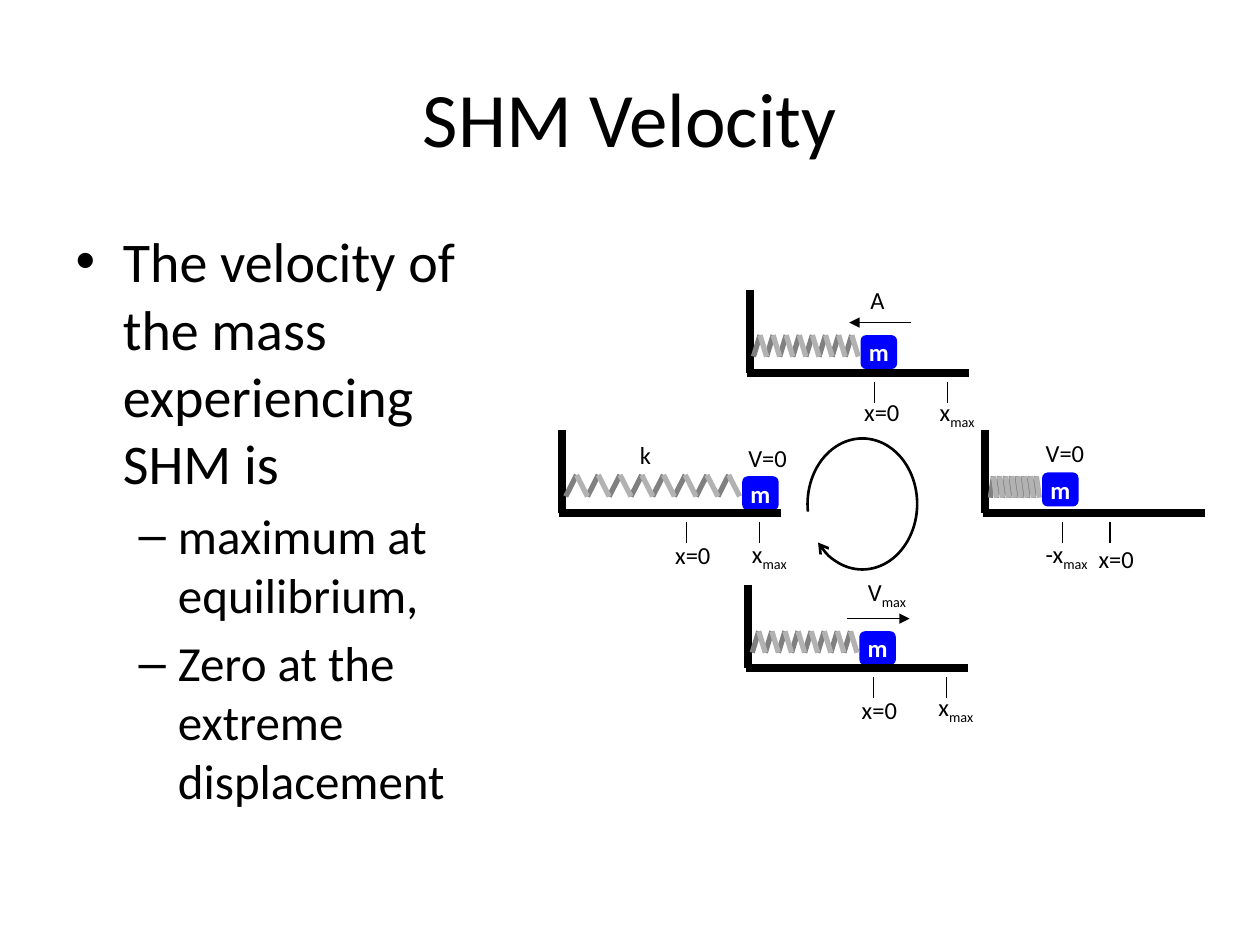
import dataclasses

import pptx
import pptx.dml.color
import pptx.enum.shapes
import pptx.enum.text
import pptx.oxml.ns
import pptx.util
from lxml import etree

RGB = pptx.dml.color.RGBColor
BLACK = RGB(0x00, 0x00, 0x00)
WHITE = RGB(0xFF, 0xFF, 0xFF)
MASS_BLUE = RGB(0x00, 0x00, 0xFF)
COIL_BACK = RGB(0x80, 0x80, 0x80)
COIL_FRONT = RGB(0xB2, 0xB2, 0xB2)

FONT = "Calibri"
SLIDE_WIDTH = pptx.util.Inches(10)
SLIDE_HEIGHT = pptx.util.Inches(7.5)
COLUMNS, ROWS = 1000, 750
COILS = 8
LABEL_HEIGHT = 33
LABEL_WIDTHS = {"A": 33, "k": 30, "V=0": 55, "x=0": 52, "V": 57, "x": 54, "-x": 60}


@dataclasses.dataclass
class Oscillator:
    corner: tuple
    mass: tuple
    coil_start: int
    coil_pitch: float
    coil_top: int
    ticks: tuple
    labels: tuple
    motion: tuple = ()


OSCILLATORS = (
    Oscillator((446, 341), (143, 37), 3, 17.25, 36, (99, 157),
               (("V=0", "", 138, 6), ("x=0", "", 80, 83),
                ("x", "max", 141, 82), ("k", "", 52, 3))),
    Oscillator((595, 230), (88, 36), 3, 10.4, 36, (99, 157),
               (("A", "", 86, -9), ("x=0", "", 81, 80), ("x", "max", 141, 80)),
               (128, 79, 26)),
    Oscillator((782, 341), (45, 34), 4, 4.87, 37, (99, 61),
               (("x=0", "", 80, 86), ("-x", "max", 38, 82), ("V=0", "", 38, 2))),
    Oscillator((594, 464), (88, 37), 3, 10.4, 37, (99, 157),
               (("V", "max", 85, -11), ("x=0", "", 80, 83), ("x", "max", 141, 80)),
               (78, 128, 27)),
)


def col(count):
    return round(SLIDE_WIDTH * count / COLUMNS)


def row(count):
    return round(SLIDE_HEIGHT * count / ROWS)


def box(left, top, width, height):
    return col(left), row(top), col(width), row(height)


def place(placeholder, left, top, width, height):
    placeholder.left, placeholder.top, placeholder.width, placeholder.height = box(
        left, top, width, height)


def add_run(paragraph, text, size, color=BLACK, bold=None):
    run = paragraph.add_run()
    run.text = text
    run.font.name = FONT
    run.font.size = pptx.util.Pt(size)
    run.font.color.rgb = color
    run.font.bold = bold
    return run


def add_arrowhead(stroke, kind):
    outline = stroke._element.spPr.get_or_add_ln()
    etree.SubElement(outline, pptx.oxml.ns.qn("a:tailEnd"), type=kind)


def add_line(shapes, start, end, width, color=BLACK, arrow=None):
    segment = shapes.add_connector(
        pptx.enum.shapes.MSO_CONNECTOR.STRAIGHT,
        col(start[0]), row(start[1]), col(end[0]), row(end[1]))
    segment.line.color.rgb = color
    segment.line.width = pptx.util.Pt(width)
    if arrow:
        add_arrowhead(segment, arrow)
    etree.SubElement(segment._element.spPr, pptx.oxml.ns.qn("a:effectLst"))


def add_label(shapes, left, top, symbol, subscript):
    label = shapes.add_textbox(*box(left, top, LABEL_WIDTHS[symbol], LABEL_HEIGHT))
    frame = label.text_frame
    frame.word_wrap = False
    frame.auto_size = pptx.enum.text.MSO_AUTO_SIZE.SHAPE_TO_FIT_TEXT
    add_run(frame.paragraphs[0], symbol, 14)
    if subscript:
        lowered = add_run(frame.paragraphs[0], subscript, 14)
        lowered._r.get_or_add_rPr().set("baseline", "-25000")


def add_mass(shapes, left, top):
    mass = shapes.add_shape(
        pptx.enum.shapes.MSO_SHAPE.ROUNDED_RECTANGLE, *box(left, top, 29, 27))
    mass.shadow.inherit = False
    mass.fill.solid()
    mass.fill.fore_color.rgb = MASS_BLUE
    mass.line.fill.background()
    frame = mass.text_frame
    frame.word_wrap = False
    frame.vertical_anchor = pptx.enum.text.MSO_ANCHOR.MIDDLE
    frame.paragraphs[0].alignment = pptx.enum.text.PP_ALIGN.CENTER
    add_run(frame.paragraphs[0], "m", 14, WHITE, True)


def add_spring(shapes, left, top, pitch):
    bottom = top + 17
    for coil in reversed(range(COILS)):
        start = left + coil * pitch
        peak = (start + pitch / 2, top)
        add_line(shapes, (start, bottom), peak, 3, COIL_BACK)
        add_line(shapes, (start + pitch, bottom), peak, 3, COIL_FRONT)


def add_oscillator(slide, oscillator):
    shapes = slide.shapes.add_group_shape().shapes
    x, y = oscillator.corner
    add_mass(shapes, x + oscillator.mass[0], y + oscillator.mass[1])
    add_line(shapes, (x, y), (x, y + 66), 4.5)
    add_line(shapes, (x - 2, y + 66), (x + 174, y + 66), 4.5)
    add_spring(shapes, x + oscillator.coil_start, y + oscillator.coil_top,
               oscillator.coil_pitch)
    for tick in oscillator.ticks:
        add_line(shapes, (x + tick, y + 73), (x + tick, y + 90), 0.75)
    for symbol, subscript, across, down in oscillator.labels:
        add_label(shapes, x + across, y + down, symbol, subscript)
    if oscillator.motion:
        start, end, height = oscillator.motion
        add_line(shapes, (x + start, y + height), (x + end, y + height),
                 0.75, arrow="triangle")


def add_cycle(slide):
    cycle = slide.shapes.add_shape(
        pptx.enum.shapes.MSO_SHAPE.ARC, *box(641, 348, 87, 104))
    cycle.shadow.inherit = False
    for index, degrees in enumerate((172, 139)):
        cycle.adjustments[index] = degrees * 0.6
    cycle.fill.background()
    cycle.line.color.rgb = BLACK
    cycle.line.width = pptx.util.Pt(1.5)
    add_arrowhead(cycle, "arrow")


def fill_title(title):
    place(title, 50, 30, 900, 125)
    add_run(title.text_frame.paragraphs[0], "SHM Velocity", 44)


def fill_body(body):
    place(body, 50, 175, 346, 495)
    points = (
        (0, 32, "The velocity of the mass experiencing SHM is"),
        (1, 28, "maximum at equilibrium,"),
        (1, 28, "Zero at the extreme displacement"),
    )
    frame = body.text_frame
    for index, (level, size, text) in enumerate(points):
        paragraph = frame.add_paragraph() if index else frame.paragraphs[0]
        paragraph.level = level
        if not index:
            paragraph.space_before = pptx.util.Pt(0)
        add_run(paragraph, text, size)


def main():
    presentation = pptx.Presentation()
    presentation.slide_width = SLIDE_WIDTH
    presentation.slide_height = SLIDE_HEIGHT
    slide = presentation.slides.add_slide(presentation.slide_layouts[1])
    fill_title(slide.shapes.title)
    fill_body(slide.placeholders[1])
    for oscillator in OSCILLATORS:
        add_oscillator(slide, oscillator)
    add_cycle(slide)
    presentation.save("out.pptx")


if __name__ == "__main__":
    main()
